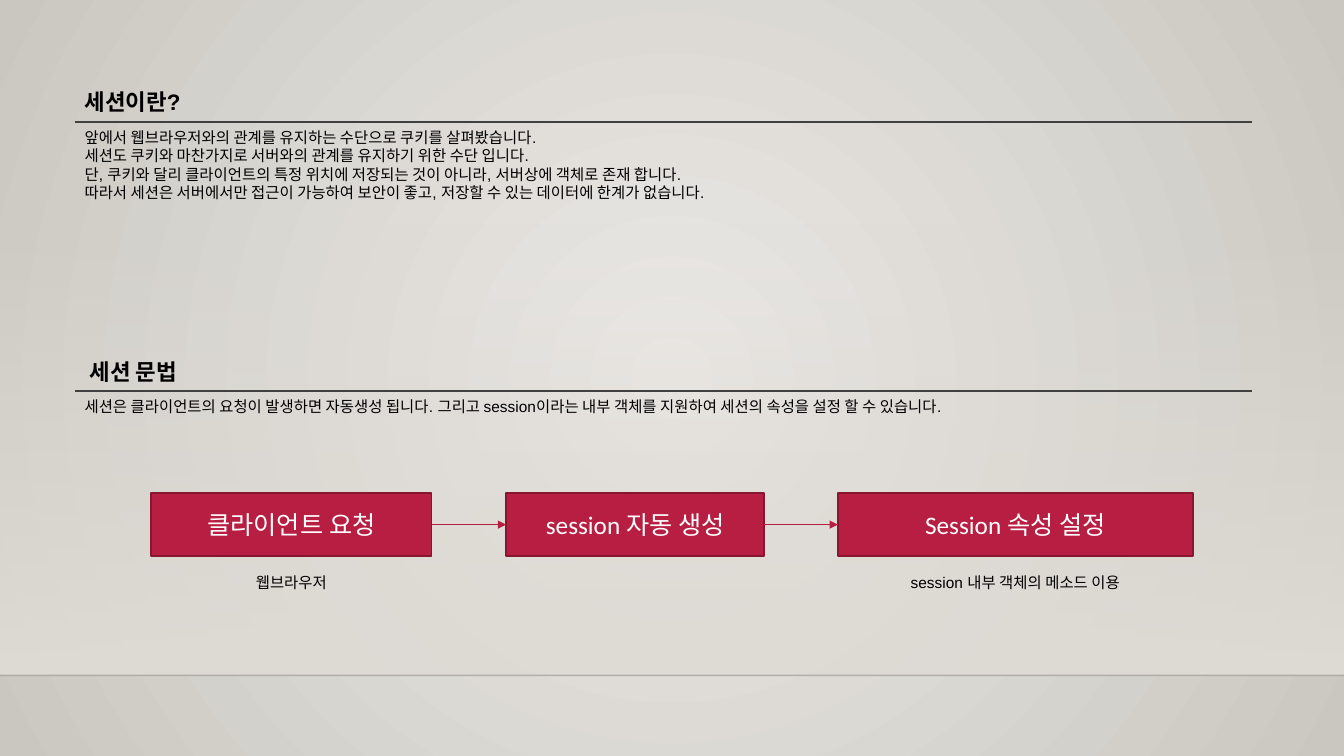
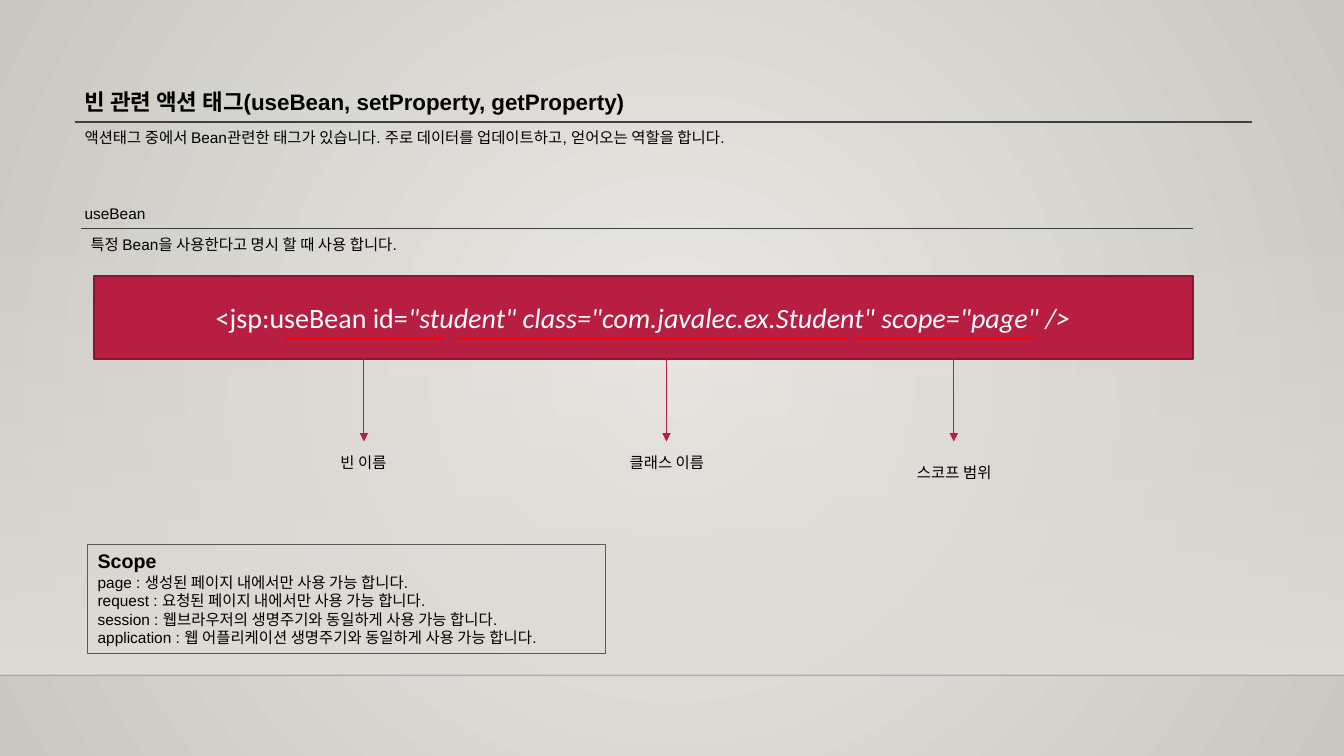
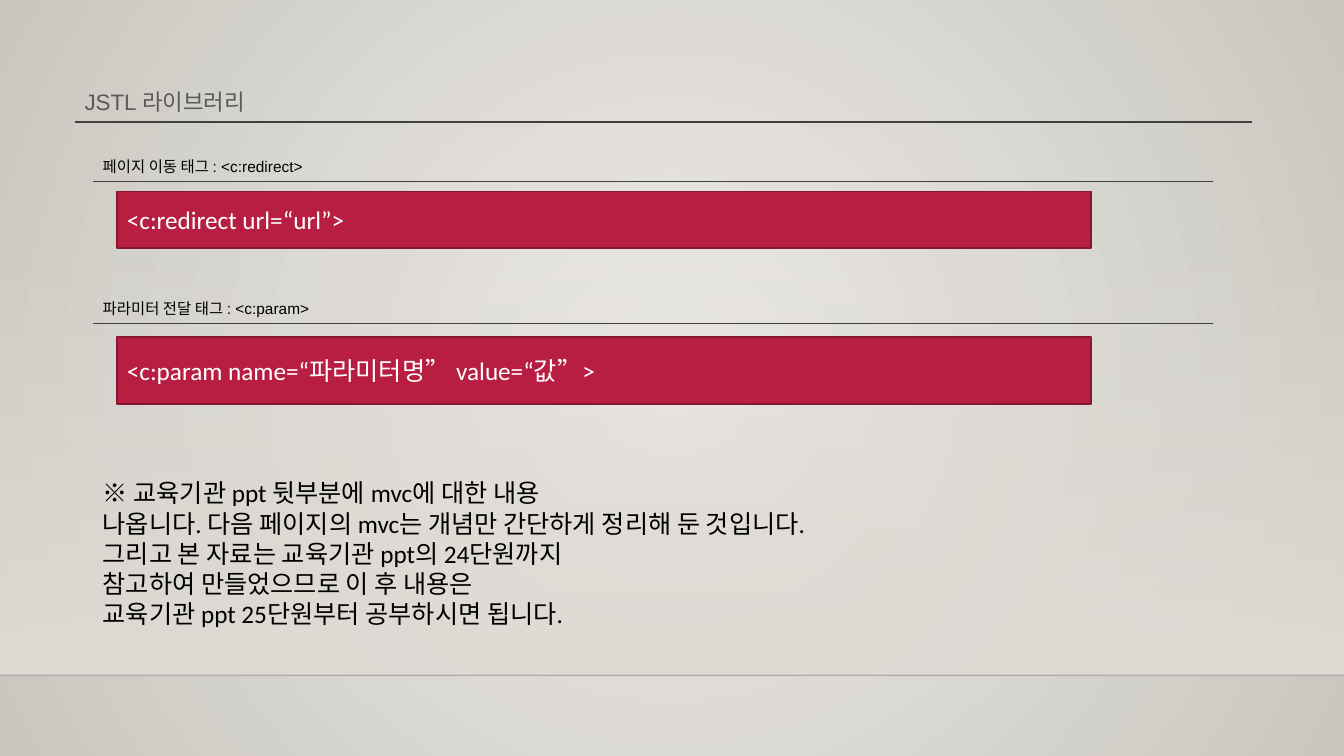
from dataclasses import dataclass, replace

from lxml.etree import SubElement
from pptx import Presentation
from pptx.dml.color import RGBColor
from pptx.enum.shapes import MSO_CONNECTOR as Connectors, MSO_SHAPE as Shapes
from pptx.enum.text import MSO_ANCHOR as Anchor, MSO_AUTO_SIZE as AutoSize, PP_ALIGN as Align
from pptx.oxml.ns import qn
from pptx.shapes.autoshape import Shape
from pptx.shapes.connector import Connector
from pptx.slide import Slide, SlideMaster
from pptx.util import Inches, Pt

BLACK, WHITE, GRAY, RULE_GRAY = "000000", "FFFFFF", "595959", "404040"
CRIMSON, DARK_CRIMSON, RED = "B71E42", "871631", "FF0000"
BAND, CENTER_GLOW, EDGE_SHADE = "DFDBD5", "ECEAE7", "CAC7C1"
SLIDE_WIDTH, FLOOR_TOP = 13.33, 6.7
PAGE_LEFT, PAGE_WIDTH = 0.74, 11.68
BODY_HEIGHT = 0.29


@dataclass(frozen=True)
class Style:
    size: float
    font: str = "Arial"
    color: str = BLACK
    bold: bool = False
    italic: bool = False


@dataclass(frozen=True)
class Box:
    left: float
    top: float
    width: float
    height: float = BODY_HEIGHT


@dataclass(frozen=True)
class Section:
    title: str
    rule_top: float
    left: float = PAGE_LEFT
    width: float = PAGE_WIDTH
    title_height: float = 0.38
    title_indent: float = 0
    style: Style = Style(16, bold=True)
    body: tuple[str, ...] = ()


@dataclass(frozen=True)
class CodePart:
    label: str
    underline_left: float
    underline_right: float
    arrow_x: float
    label_box: Box


BODY = Style(11)
MUTED_TITLE = Style(16, color=GRAY)
SCOPE_TITLE = Style(14, bold=True)
NOTE = Style(18, "Calibri")
BAR_TEXT = replace(NOTE, color=WHITE)
CODE_TEXT = replace(BAR_TEXT, size=20)


def rgb(value: str) -> RGBColor:
    return RGBColor.from_string(value)


def lengths(box: Box) -> tuple:
    return Inches(box.left), Inches(box.top), Inches(box.width), Inches(box.height)


def format_runs(paragraph, style: Style) -> None:
    for run in paragraph.runs:
        font = run.font
        font.name, font.size = style.font, Pt(style.size)
        font.bold, font.italic = style.bold, style.italic
        font.color.rgb = rgb(style.color)


def write(shape: Shape, lines: tuple[str, ...], style: Style, align: Align) -> None:
    shape.text_frame.text = "\n".join(lines)
    for paragraph in shape.text_frame.paragraphs:
        paragraph.alignment = align
        format_runs(paragraph, style)


def add_text(slide: Slide, box: Box, lines: tuple[str, ...], style: Style = BODY,
             align: Align = Align.LEFT, wrap: bool = True) -> None:
    shape = slide.shapes.add_textbox(*lengths(box))
    shape.text_frame.word_wrap = wrap
    shape.text_frame.auto_size = AutoSize.SHAPE_TO_FIT_TEXT
    write(shape, lines, style, align)


def add_rectangle(slide: Slide, box: Box) -> Shape:
    shape = slide.shapes.add_shape(Shapes.RECTANGLE, *lengths(box))
    shape.shadow.inherit = False
    return shape


def add_bar(slide: Slide, box: Box, text: str, style: Style = BAR_TEXT,
            align: Align = Align.CENTER) -> Shape:
    shape = add_rectangle(slide, box)
    shape.fill.solid()
    shape.fill.fore_color.rgb = rgb(CRIMSON)
    shape.line.color.rgb = rgb(DARK_CRIMSON)
    shape.line.width = Pt(1.25)
    shape.text_frame.vertical_anchor = Anchor.MIDDLE
    write(shape, (text,), style, align)
    return shape


def add_line(slide: Slide, start: tuple[float, float], end: tuple[float, float],
             color: str = RULE_GRAY, width: float = 1) -> Connector:
    points = (Inches(value) for value in (*start, *end))
    line = slide.shapes.add_connector(Connectors.STRAIGHT, *points)
    line.line.color.rgb = rgb(color)
    line.line.width = Pt(width)
    SubElement(line.element.spPr, qn("a:effectLst"))
    return line


def add_arrow(slide: Slide, start: tuple[float, float], end: tuple[float, float]) -> Connector:
    arrow = add_line(slide, start, end, CRIMSON, 0.75)
    outline = arrow.element.spPr.find(qn("a:ln"))
    SubElement(outline, qn("a:tailEnd"), type="triangle")
    return arrow


def set_alpha(element, percent: int) -> None:
    color = next(element.iter(qn("a:srgbClr")))
    SubElement(color, qn("a:alpha"), val=str(percent * 1000))


def set_gradient(fill, colors: tuple[str, str]) -> None:
    fill.gradient()
    for stop, color in zip(fill.gradient_stops, colors):
        stop.color.rgb = rgb(color)


def paint_background(master: SlideMaster) -> None:
    set_gradient(master.background.fill, (CENTER_GLOW, EDGE_SHADE))
    gradient = next(master.element.iter(qn("a:gradFill")))
    gradient.remove(gradient.find(qn("a:lin")))
    circle = SubElement(gradient, qn("a:path"), path="circle")
    SubElement(circle, qn("a:fillToRect"), l="50000", t="50000", r="50000", b="50000")


def add_page(presentation: Presentation) -> Slide:
    slide = presentation.slides.add_slide(presentation.slide_layouts[6])
    band = add_rectangle(slide, Box(0, 2.21, SLIDE_WIDTH, FLOOR_TOP - 2.21))
    set_gradient(band.fill, (BAND, BAND))
    band.fill.gradient_angle = 270
    set_alpha(band.element.spPr, 0)
    band.line.fill.background()
    floor = add_line(slide, (0, FLOOR_TOP), (SLIDE_WIDTH, FLOOR_TOP), "000001")
    set_alpha(floor.element.spPr, 20)
    return slide


def add_section(slide: Slide, section: Section) -> None:
    title_box = Box(section.left + section.title_indent, section.rule_top - section.title_height,
                    section.width, section.title_height)
    add_text(slide, title_box, (section.title,), section.style)
    add_line(slide, (section.left, section.rule_top),
             (section.left + section.width, section.rule_top))
    if section.body:
        body_box = Box(section.left, section.rule_top + 0.01, section.width)
        add_text(slide, body_box, section.body)


def build_session(slide: Slide) -> None:
    add_section(slide, Section("세션이란?", 1.21, body=(
        "앞에서 웹브라우저와의 관계를 유지하는 수단으로 쿠키를 살펴봤습니다.",
        "세션도 쿠키와 마찬가지로 서버와의 관계를 유지하기 위한 수단 입니다.",
        "단, 쿠키와 달리 클라이언트의 특정 위치에 저장되는 것이 아니라, 서버상에 객체로 존재 합니다.",
        "따라서 세션은 서버에서만 접근이 가능하여 보안이 좋고, 저장할 수 있는 데이터에 한계가 없습니다.",
    )))
    add_section(slide, Section("세션 문법", 3.88, title_indent=0.05, body=(
        "세션은 클라이언트의 요청이 발생하면 자동생성 됩니다. 그리고 session이라는 내부 객체를 "
        "지원하여 세션의 속성을 설정 할 수 있습니다.",
    )))
    steps = (
        (1.5, 2.78, "클라이언트 요청", "웹브라우저"),
        (5.02, 2.56, "session 자동 생성", ""),
        (8.31, 3.52, "Session 속성 설정", "session 내부 객체의 메소드 이용"),
    )
    bars = []
    for left, width, text, caption in steps:
        bars.append(add_bar(slide, Box(left, 4.89, width, 0.63), text))
        if caption:
            add_text(slide, Box(left, 5.64, width), (caption,), align=Align.CENTER)
    for source, target in zip(bars, bars[1:]):
        arrow = add_arrow(slide, (0, 0), (1, 0))
        arrow.begin_connect(source, 3)
        arrow.end_connect(target, 1)


def build_bean(slide: Slide) -> None:
    add_section(slide, Section(
        "빈 관련 액션 태그(useBean, setProperty, getProperty)", 1.21,
        body=("액션태그 중에서 Bean관련한 태그가 있습니다. 주로 데이터를 업데이트하고, 얻어오는 역할을 합니다.",)))
    add_section(slide, Section(
        "useBean", 2.27, 0.8, 11.03, BODY_HEIGHT, -0.06, BODY,
        ("특정 Bean을 사용한다고 명시 할 때 사용 합니다.",)))

    code = add_bar(slide, Box(0.93, 2.74, 10.9, 0.82), "<jsp:useBean id=", CODE_TEXT)
    paragraph = code.text_frame.paragraphs[0]
    attributes = paragraph.add_run()
    attributes.text = '"student" class="com.javalec.ex.Student" scope="page" />'
    format_runs(paragraph, CODE_TEXT)
    attributes.font.italic = True

    underline_top = 3.36
    parts = (
        CodePart("빈 이름", 2.83, 4.4, 3.61, Box(3.1, 4.45, 1.01)),
        CodePart("클래스 이름", 4.54, 8.4, 6.61, Box(6.01, 4.45, 1.21)),
        CodePart("스코프 범위", 8.49, 10.26, 9.46, Box(8.86, 4.54, 1.21)),
    )
    for part in parts:
        add_line(slide, (part.underline_left, underline_top),
                 (part.underline_right, underline_top), RED, 2)
        add_arrow(slide, (part.arrow_x, underline_top), (part.arrow_x, 4.38))
        add_text(slide, part.label_box, (part.label,), align=Align.CENTER)

    scope = add_rectangle(slide, Box(0.87, 5.4, 5.14, 1.08))
    scope.fill.background()
    scope.line.color.rgb = rgb(GRAY)
    scope.line.width = Pt(0.75)
    scope.text_frame.vertical_anchor = Anchor.TOP
    scope.text_frame.auto_size = AutoSize.SHAPE_TO_FIT_TEXT
    write(scope, (
        "Scope",
        "page : 생성된 페이지 내에서만 사용 가능 합니다.",
        "request : 요청된 페이지 내에서만 사용 가능 합니다.",
        "session : 웹브라우저의 생명주기와 동일하게 사용 가능 합니다.",
        "application : 웹 어플리케이션 생명주기와 동일하게 사용 가능 합니다.",
    ), BODY, Align.LEFT)
    format_runs(scope.text_frame.paragraphs[0], SCOPE_TITLE)


def build_jstl(slide: Slide) -> None:
    add_section(slide, Section("JSTL 라이브러리", 1.21, style=MUTED_TITLE))
    tags = (
        ("페이지 이동 태그 : <c:redirect>", 1.8, "<c:redirect url=“url”>", 1.9, 0.56),
        ("파라미터 전달 태그 : <c:param>", 3.21, "<c:param name=“파라미터명” value=“값”>", 3.34, 0.67),
    )
    for title, rule_top, code, bar_top, bar_height in tags:
        add_section(slide, Section(title, rule_top, 0.92, 11.11, BODY_HEIGHT, style=BODY))
        add_bar(slide, Box(1.16, bar_top, 9.66, bar_height), code, align=Align.LEFT)
    add_text(slide, Box(0.92, 4.69, 7.77, 1.62), (
        "※ 교육기관 ppt 뒷부분에 mvc에 대한 내용",
        "나옵니다. 다음 페이지의 mvc는 개념만 간단하게 정리해 둔 것입니다.",
        "그리고 본 자료는 교육기관 ppt의 24단원까지",
        "참고하여 만들었으므로 이 후 내용은",
        "교육기관 ppt 25단원부터 공부하시면 됩니다.",
    ), NOTE, wrap=False)


def main() -> None:
    presentation = Presentation()
    presentation.slide_width = Inches(SLIDE_WIDTH)
    presentation.slide_height = Inches(7.5)
    paint_background(presentation.slide_master)
    for build in (build_session, build_bean, build_jstl):
        build(add_page(presentation))
    presentation.save("out.pptx")


if __name__ == "__main__":
    main()
